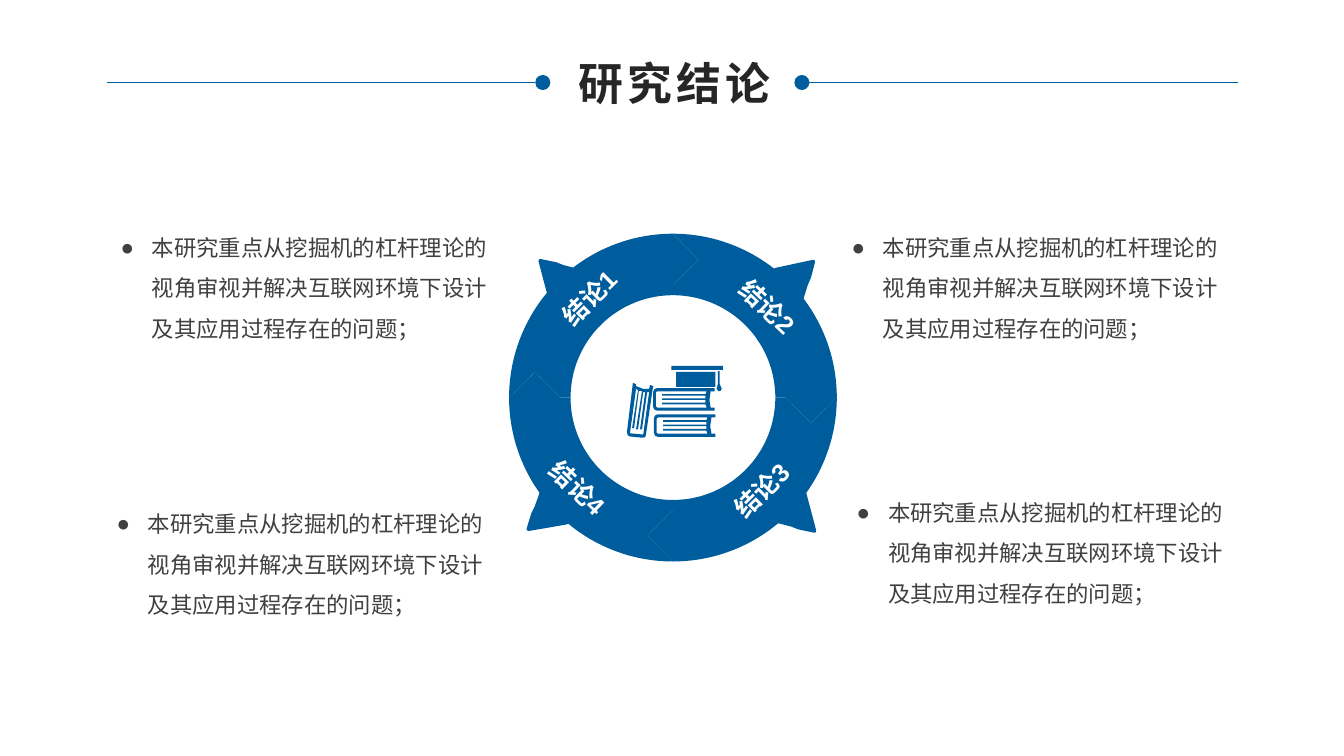
from dataclasses import dataclass
from math import cos, radians, sin

from lxml import etree
from pptx import Presentation
from pptx.dml.color import RGBColor
from pptx.enum.shapes import MSO_CONNECTOR, MSO_SHAPE
from pptx.enum.text import MSO_AUTO_SIZE, PP_ALIGN
from pptx.oxml.ns import qn
from pptx.util import Cm, Pt

LINE = MSO_CONNECTOR.STRAIGHT
DOT, RECT = MSO_SHAPE.OVAL, MSO_SHAPE.RECTANGLE
MID, LEFT = PP_ALIGN.CENTER, PP_ALIGN.LEFT
GROW = MSO_AUTO_SIZE.SHAPE_TO_FIT_TEXT

Point = tuple[float, float]


@dataclass(frozen=True)
class Theme:
    blue: RGBColor = RGBColor(0x00, 0x5D, 0x9D)
    white: RGBColor = RGBColor(0xFF, 0xFF, 0xFF)
    dark: RGBColor = RGBColor(0x26, 0x26, 0x26)
    grey: RGBColor = RGBColor(0x40, 0x40, 0x40)
    head: str = "Arial"
    body: str = "Noto Sans CJK SC"
    big: int = 32
    mid: int = 18
    small: int = 16


@dataclass(frozen=True)
class Box:
    x: float
    y: float
    w: float
    h: float
    turn: float = 0


@dataclass(frozen=True)
class Rule:
    start: float
    end: float
    dot: float


@dataclass(frozen=True)
class Part:
    """One quarter of the ring: its turn, spike, label and note."""
    turn: int
    spike: Point
    lean: float
    label: Point
    tilt: float
    note: Point


THEME = Theme()
HUB: Point = (16.96, 10.02)
NOTE = "本研究重点从挖掘机的杠杆理论的视角审视并解决互联网环境下设计及其应用过程存在的问题；"
RULES = [Rule(2.69, 13.49, 13.49), Rule(31.19, 20.4, 20.02)]
PARTS = [
    Part(0, (14.1, 7.05), 0, (13.56, 6.99), 315.3, (2.79, 5.44)),
    Part(90, (19.99, 7.05), 92.7, (18.06, 7.21), 43.8, (21.21, 5.44)),
    Part(180, (20.04, 12.89), 180, (17.91, 11.84), 315.3, (21.34, 12.12)),
    Part(270, (13.84, 12.89), 275.1, (13.28, 11.79), 43.8, (2.69, 12.4)),
]

# Outlines, in cm from their own anchor
SPIKE = [(-.46, -.52), (-.51, -.52), (-.53, -.47), (-.43, -.09), (-.28, .47),
         (-.24, .53), (-.18, .5), (.1, .22), (.51, -.19), (.53, -.25),
         (.48, -.27), (.1, -.37), (-.08, -.44)]
COVER = [(0, .1), (0, .47), (.03, .54), (.1, .57), (1.55, .57), (1.55, .49),
         (1.45, .49), (1.42, .3), (1.45, .08), (1.55, .08), (1.55, 0),
         (.1, 0), (.03, .03)]
PAGES = [(1.35, .49), (.1, .49), (.07, .46), (.07, .11), (.1, .08), (1.35, .08)]
for row in range(3):
    top = .15 + .11 * row
    PAGES += [(1.32, top), (.23, top), (.23, top + .04), (1.32, top + .04)]
SPINE = [(.56, .15), (.41, .15), (.23, .08), (.23, .03), (.15, 0), (0, 1.24),
         (.02, 1.32), (.08, 1.35), (.38, 1.38), (.46, 1.37), (.48, 1.3),
         (.66, .08), (.58, .05)]
SHEETS = [(.41, 1.3), (.08, 1.27), (.08, 1.24), (.23, .15), (.28, .18),
          (.13, 1.14), (.18, 1.14), (.3, .2), (.38, .2), (.23, 1.17),
          (.28, 1.17), (.41, .23), (.46, .23), (.33, 1.17), (.38, 1.17),
          (.51, .23), (.56, .23)]
TASSEL = [(.03, 0), (.08, 0), (.08, .33), (.13, .45), (.1, .5), (.05, .51),
          (0, .45), (.03, .33)]


def paint(shape) -> None:
    shape.shadow.inherit = False
    shape.fill.solid()
    shape.fill.fore_color.rgb = THEME.blue
    shape.line.fill.background()


def preset(shapes, kind, box: Box) -> None:
    paint(shapes.add_shape(kind, Cm(box.x), Cm(box.y), Cm(box.w), Cm(box.h)))


def outline(shapes, at: Point, *loops: list[Point], turn: float = 0) -> None:
    """Fill closed loops; an inner loop cuts a hole."""
    pen = None
    for loop in loops:
        first, *rest = [(Cm(at[0] + x), Cm(at[1] + y)) for x, y in loop]
        if pen is None:
            pen = shapes.build_freeform(*first)
        else:
            pen.move_to(*first)
        pen.add_line_segments(rest)
    shape = pen.convert_to_shape()
    shape.rotation = turn
    paint(shape)


def arc(size: float, start: int, end: int) -> list[Point]:
    step = 2 if end > start else -2
    return [(size * cos(radians(a)), size * sin(radians(a)))
            for a in range(start, end + step, step)]


def quarter(turn: int) -> list[Point]:
    """A ring quarter with a chevron at each end."""
    inner, outer, neck, mid, tip = 2.58, 4.13, 2.83, 3.48, .64
    loop = arc(inner, 180, 270) + [(0, -neck), (tip, -mid)]
    loop += arc(outer, 270, 180) + [(-mid, -tip), (-neck, 0)]
    c, s = cos(radians(turn)), sin(radians(turn))
    return [(x * c - y * s, x * s + y * c) for x, y in loop]


def write(shapes, box: Box, text: str, size: int, color: RGBColor, font: str,
          bold: bool = False, align=MID, wrap: bool = True):
    area = shapes.add_textbox(Cm(box.x), Cm(box.y), Cm(box.w), Cm(box.h))
    area.rotation = box.turn
    frame = area.text_frame
    frame.text = text
    frame.word_wrap = wrap
    frame.auto_size = GROW
    para = frame.paragraphs[0]
    para.alignment = align
    run = para.runs[0]
    run.font.size, run.font.bold, run.font.name = Pt(size), bold, font
    run.font.color.rgb = color
    etree.SubElement(run.font._element, qn("a:ea"), typeface=THEME.body)
    return para


def bullet(para) -> None:
    para.line_spacing = 1.5
    props = para._p.get_or_add_pPr()
    props.set("marL", str(Cm(.79)))
    props.set("indent", str(-Cm(.79)))
    etree.SubElement(props, qn("a:buFont"), typeface=THEME.head)
    etree.SubElement(props, qn("a:buChar"), char="●")


deck = Presentation()
deck.slide_width, deck.slide_height = Cm(33.87), Cm(19.05)
shapes = deck.slides.add_slide(deck.slide_layouts[6]).shapes

# Title between two dotted rules
for rule in RULES:
    line = shapes.add_connector(LINE, Cm(rule.start), Cm(2.08), Cm(rule.end), Cm(2.08))
    line.line.color.rgb = THEME.blue
    line.line.width = Pt(.25)
    etree.SubElement(line._element.spPr, qn("a:effectLst"))
    preset(shapes, DOT, Box(rule.dot, 1.89, .38, .38))
title = write(shapes, Box(14.25, 1.27, 5.51, 1.63), "研究结论", THEME.big,
              THEME.dark, THEME.head, bold=True, wrap=False)
title.runs[0].font._element.set("spc", "300")

# Ring with spikes
for part in PARTS:
    outline(shapes, HUB, quarter(part.turn))
    outline(shapes, part.spike, SPIKE, turn=part.lean)

# Labels and notes
for count, part in enumerate(PARTS, 1):
    write(shapes, Box(*part.label, 2.57, 1.02, part.tilt), f"结论{count}",
          THEME.mid, THEME.white, THEME.head, bold=True)
    bullet(write(shapes, Box(*part.note, 10.19, 3.33), NOTE, THEME.small,
                 THEME.grey, THEME.body, align=LEFT))

# Books and cap
icon = shapes.add_group_shape().shapes
for spot in [(16.48, 10.44), (16.46, 9.78)]:
    outline(icon, spot, COVER, PAGES)
outline(icon, (15.8, 9.65), SPINE, SHEETS)
outline(icon, (18.06, 9.35), TASSEL)
for box in [Box(16.92, 9.22, 1.3, .1), Box(17.04, 9.37, .99, .38)]:
    preset(icon, RECT, box)

deck.save("out.pptx")
